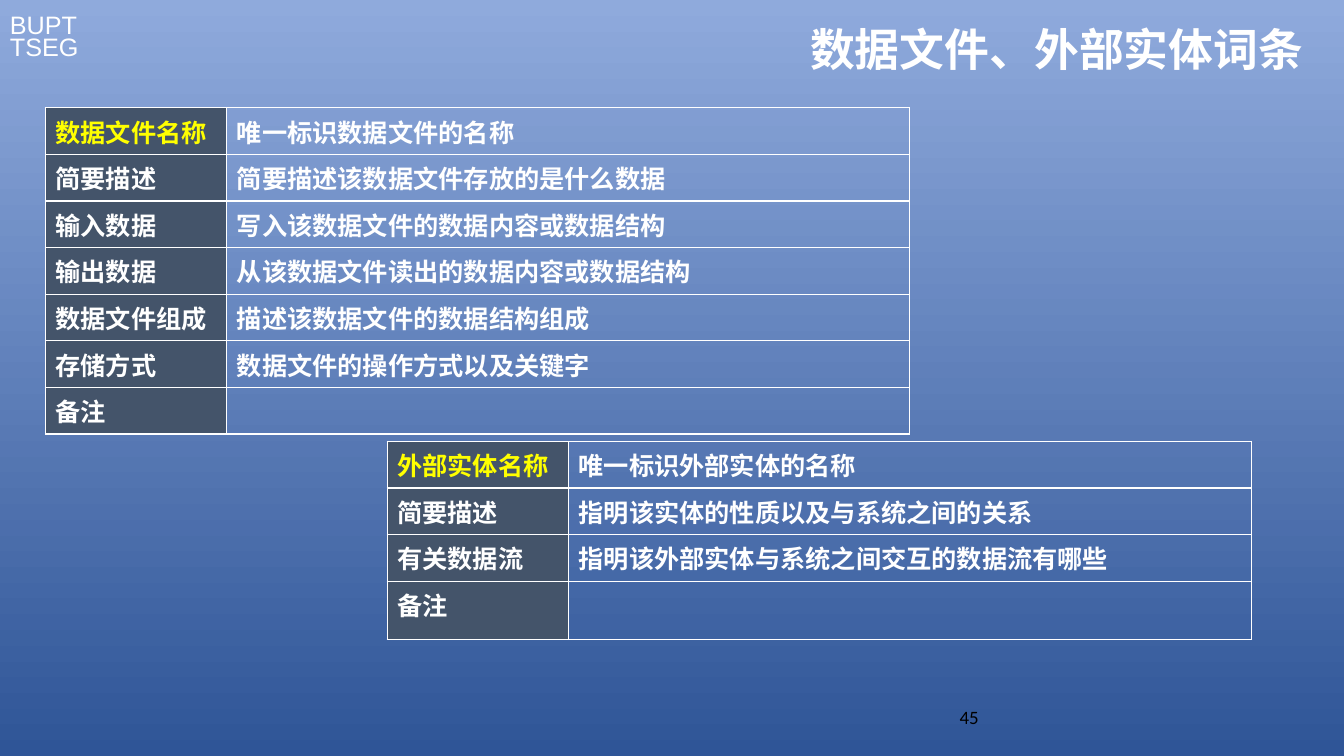
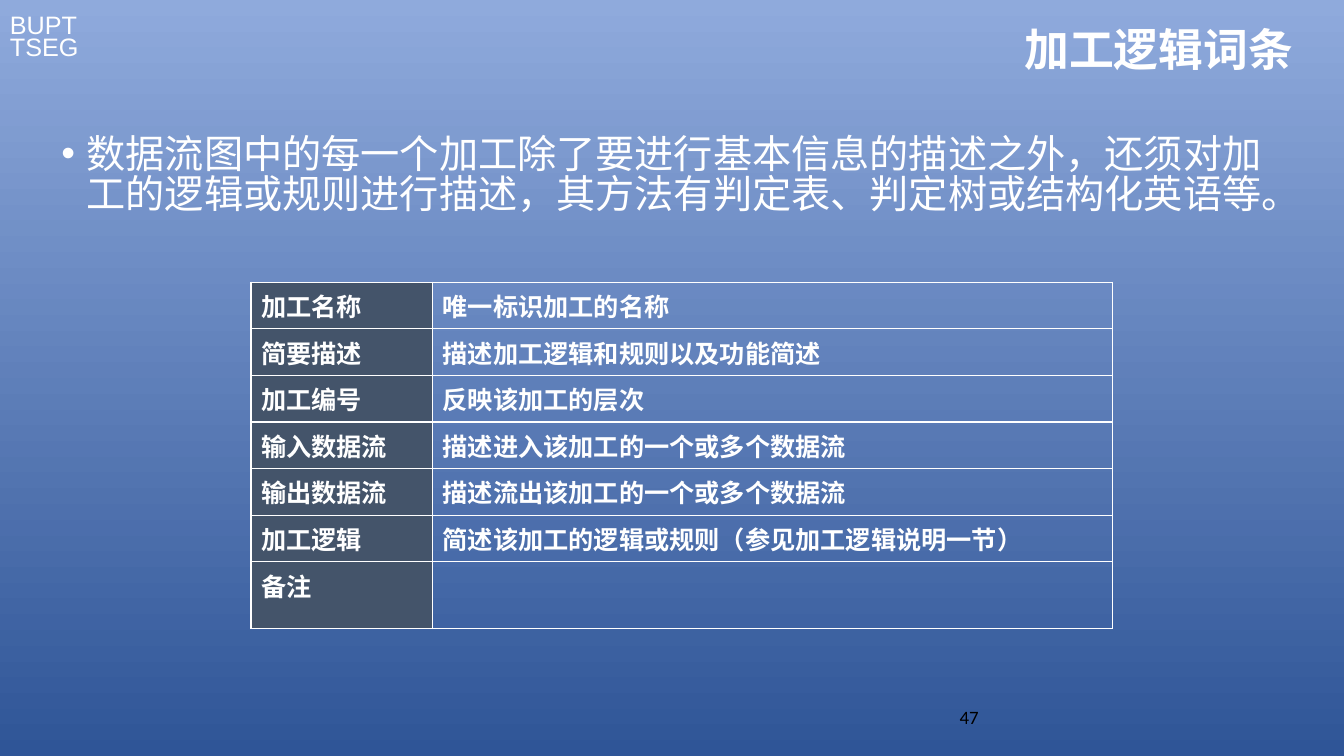
from dataclasses import dataclass

from lxml.etree import SubElement
from pptx import Presentation
from pptx.dml.color import RGBColor
from pptx.enum.text import MSO_ANCHOR, MSO_AUTO_SIZE, PP_ALIGN
from pptx.oxml import parse_xml
from pptx.oxml.ns import nsdecls, qn
from pptx.util import Inches, Pt

WHITE = "FFFFFF"
BLACK = "000000"
YELLOW = "FFFF00"
SLATE = "44546A"
SKY = "8FAADC"
NAVY = "2F5597"
CJK_FONT = "Noto Sans CJK SC"
ROW_HEIGHT = 0.46
TERM_WIDTH = 1.8


@dataclass(frozen=True)
class Entry:
    left: float
    top: float
    meaning_width: float
    last_row_height: float
    name_color: str
    rows: tuple[tuple[str, str], ...]


@dataclass(frozen=True)
class Page:
    title: str
    number: str
    entries: tuple[Entry, ...]
    summary: str = ""


PAGES = (
    Page(
        "数据文件、外部实体词条",
        "45",
        (
            Entry(0.45, 1.07, 6.77, ROW_HEIGHT, YELLOW, (
                ("数据文件名称", "唯一标识数据文件的名称"),
                ("简要描述", "简要描述该数据文件存放的是什么数据"),
                ("输入数据", "写入该数据文件的数据内容或数据结构"),
                ("输出数据", "从该数据文件读出的数据内容或数据结构"),
                ("数据文件组成", "描述该数据文件的数据结构组成"),
                ("存储方式", "数据文件的操作方式以及关键字"),
                ("备注", ""),
            )),
            Entry(3.84, 4.38, 6.77, 0.58, YELLOW, (
                ("外部实体名称", "唯一标识外部实体的名称"),
                ("简要描述", "指明该实体的性质以及与系统之间的关系"),
                ("有关数据流", "指明该外部实体与系统之间交互的数据流有哪些"),
                ("备注", ""),
            )),
        ),
    ),
    Page(
        "加工逻辑词条 ",
        "47",
        (
            Entry(2.49, 2.8, 6.74, 0.66, WHITE, (
                ("加工名称", "唯一标识加工的名称"),
                ("简要描述", "描述加工逻辑和规则以及功能简述"),
                ("加工编号", "反映该加工的层次"),
                ("输入数据流", "描述进入该加工的一个或多个数据流"),
                ("输出数据流", "描述流出该加工的一个或多个数据流"),
                ("加工逻辑", "简述该加工的逻辑或规则（参见加工逻辑说明一节）"),
                ("备注", ""),
            )),
        ),
        "数据流图中的每一个加工除了要进行基本信息的描述之外，还须对加工的逻辑或规则进行描述，"
        "其方法有判定表、判定树或结构化英语等。",
    ),
)


def rgb(color: str) -> RGBColor:
    return RGBColor.from_string(color)


def style_paragraph(paragraph, size: float, color: str = WHITE,
                    font_name: str = CJK_FONT, bold: bool = False) -> None:
    font = paragraph.font
    font.size = Pt(size)
    font.bold = bold
    font.color.rgb = rgb(color)
    font.name = font_name
    defaults = paragraph._p.pPr.find(qn("a:defRPr"))
    SubElement(defaults, qn("a:ea")).set("typeface", font_name)


def place(shape, left: float, top: float, width: float, height: float) -> None:
    shape.left, shape.top = Inches(left), Inches(top)
    shape.width, shape.height = Inches(width), Inches(height)


def add_label(slide, text: str, left: float, top: float, width: float, height: float):
    label = slide.shapes.add_textbox(
        Inches(left), Inches(top), Inches(width), Inches(height))
    label.text_frame.word_wrap = True
    label.text_frame.text = text
    return label


def paint_background(master) -> None:
    fill = master.background.fill
    fill.gradient()
    fill.gradient_angle = 270
    for stop, color in zip(fill.gradient_stops, (SKY, NAVY)):
        stop.color.rgb = rgb(color)


def add_group_mark(slide, master) -> None:
    mark = add_label(slide, "BUPT TSEG", 0, 0.11, 1.39, 0.57)
    paragraph = mark.text_frame.paragraphs[0]
    paragraph.line_spacing = 0.75
    style_paragraph(paragraph, 18, font_name="Arial")
    master.element.cSld.spTree.append(mark.element)


def fill_title(slide, text: str) -> None:
    title = slide.shapes.title
    place(title, 1.73, 0.16, 11.3, 0.71)
    frame = title.text_frame
    frame.text = text
    frame.auto_size = MSO_AUTO_SIZE.NONE
    frame.vertical_anchor = MSO_ANCHOR.MIDDLE
    paragraph = frame.paragraphs[0]
    paragraph.alignment = PP_ALIGN.RIGHT
    paragraph.line_spacing = 0.9
    style_paragraph(paragraph, 32, bold=True)


def fill_summary(slide, text: str) -> None:
    body = slide.placeholders[1]
    place(body, 0.51, 1.3, 12.3, 1.35)
    frame = body.text_frame
    frame.text = text
    frame.auto_size = MSO_AUTO_SIZE.NONE
    paragraph = frame.paragraphs[0]
    paragraph.space_before = Pt(0)
    paragraph.line_spacing = 0.85
    properties = paragraph._p.get_or_add_pPr()
    properties.set("marL", str(Inches(0.25)))
    properties.set("indent", str(Inches(-0.25)))
    SubElement(properties, qn("a:buChar")).set("char", "•")
    style_paragraph(paragraph, 28)


def draw_borders(cell) -> None:
    properties = cell._tc.get_or_add_tcPr()
    for position, side in enumerate(("lnL", "lnR", "lnT", "lnB")):
        properties.insert(position, parse_xml(
            f'<a:{side} {nsdecls("a")} w="{Pt(1)}"><a:solidFill>'
            f'<a:srgbClr val="{WHITE}"/></a:solidFill></a:{side}>'))


def add_entry(slide, entry: Entry) -> None:
    heights = [ROW_HEIGHT] * (len(entry.rows) - 1) + [entry.last_row_height]
    table = slide.shapes.add_table(
        len(entry.rows), 2, Inches(entry.left), Inches(entry.top),
        Inches(TERM_WIDTH + entry.meaning_width), Inches(sum(heights))).table
    table.first_row = table.horz_banding = False
    for column, width in zip(table.columns, (TERM_WIDTH, entry.meaning_width)):
        column.width = Inches(width)
    for row_index, (texts, height) in enumerate(zip(entry.rows, heights)):
        table.rows[row_index].height = Inches(height)
        for column_index, text in enumerate(texts):
            cell = table.cell(row_index, column_index)
            is_term = column_index == 0
            if is_term:
                cell.fill.solid()
                cell.fill.fore_color.rgb = rgb(SLATE)
            else:
                cell.fill.background()
            draw_borders(cell)
            cell.text = text
            color = entry.name_color if is_term and row_index == 0 else WHITE
            style_paragraph(cell.text_frame.paragraphs[0], 18, color, bold=True)


def add_page_number(slide, number: str) -> None:
    label = add_label(slide, number, 9.42, 6.95, 3, 0.4)
    style_paragraph(label.text_frame.paragraphs[0], 13.5, BLACK, "Calibri")


def main() -> None:
    deck = Presentation()
    deck.slide_width, deck.slide_height = Inches(13.33), Inches(7.5)
    master = deck.slide_master
    paint_background(master)
    for page in PAGES:
        slide = deck.slides.add_slide(deck.slide_layouts[1 if page.summary else 5])
        fill_title(slide, page.title)
        if page.summary:
            fill_summary(slide, page.summary)
        for entry in page.entries:
            add_entry(slide, entry)
        add_page_number(slide, page.number)
    add_group_mark(deck.slides[0], master)
    deck.save("out.pptx")


if __name__ == "__main__":
    main()
